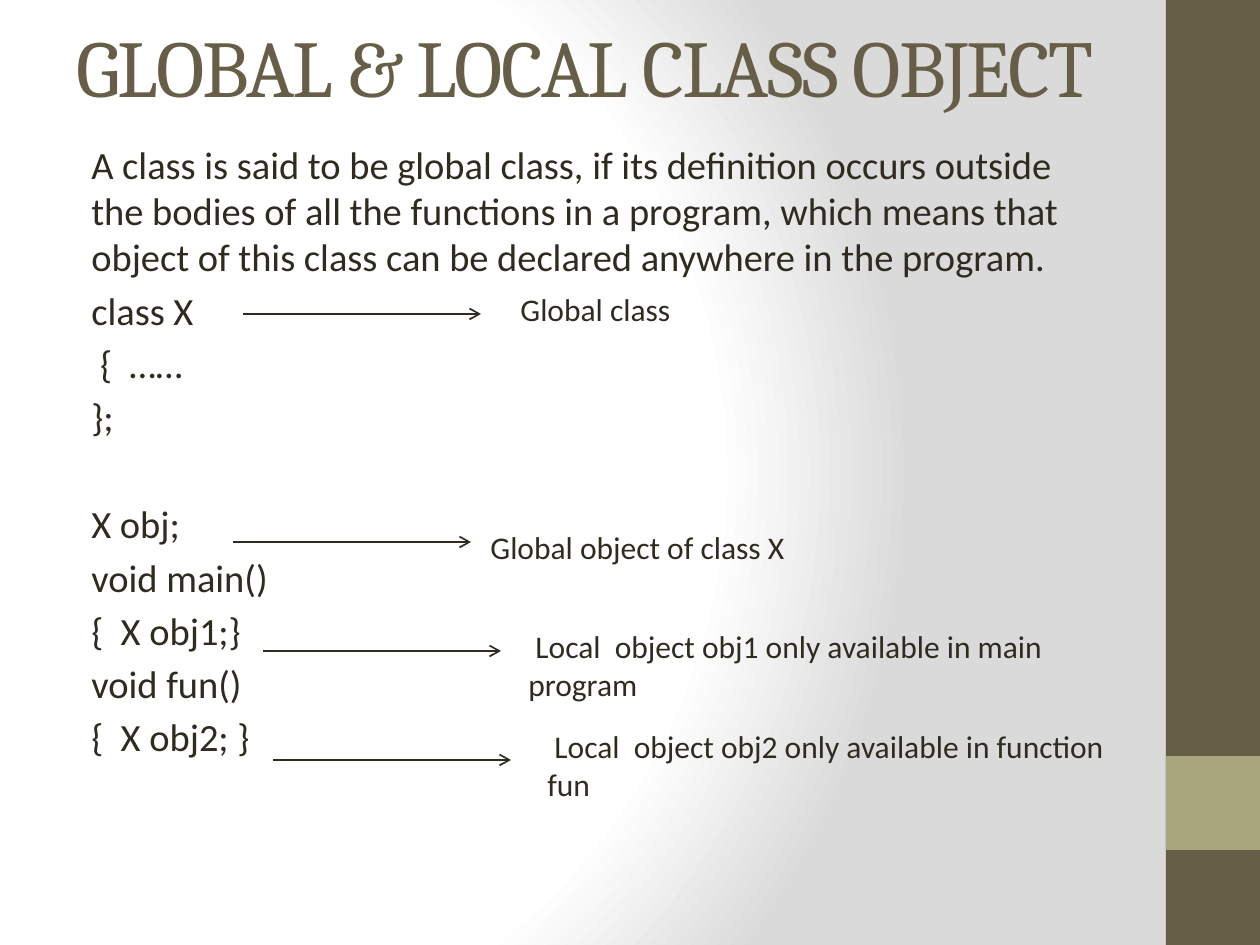
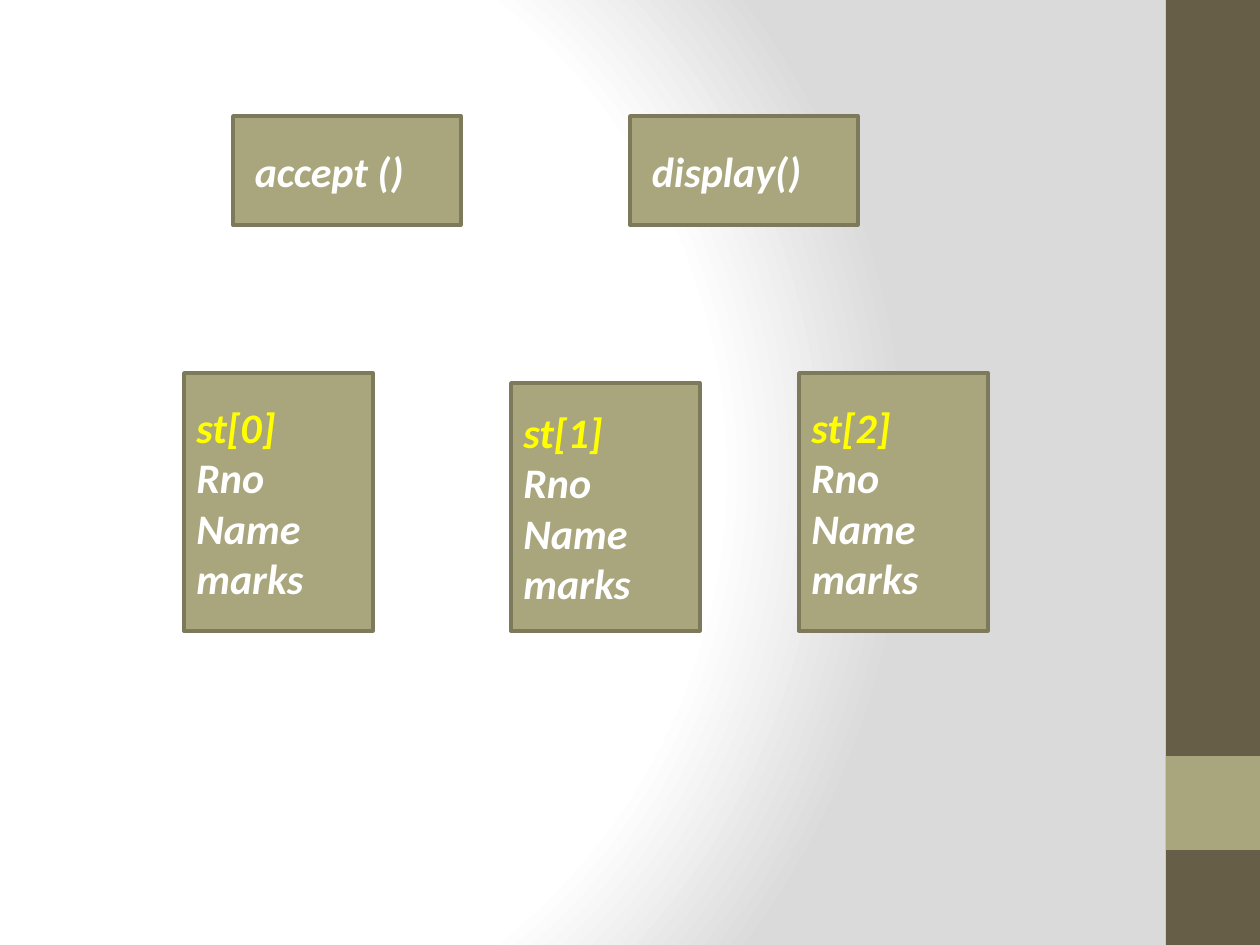
from pptx import Presentation
from pptx import util as u
from pptx.dml.color import RGBColor
from pptx.enum import shapes, text
from pptx.oxml import parse_xml
from pptx.oxml.ns import nsdecls, qn
from lxml import etree

BROWN, OLIVE, OLIVE_EDGE = "675E47", "A9A57C", "7D7A5C"
INK, WHITE, YELLOW, GREY = "2F2B20", "FFFFFF", "FFFF00", "DADADA"

TITLE = "GLOBAL & LOCAL CLASS OBJECT"
# (text, points before)
BODY = [
    ("A class is said to be global class, if its definition occurs outside the "
     "bodies of all the functions in a program, which means that object of this "
     "class can be declared anywhere in the program.", 0),
    ("class X", 4),
    (" {  ……", 4),
    ("};", 4),
    ("X obj;", 35),
    ("void main()", 4),
    ("{  X obj1;}", 4),
    ("void fun()", 4),
    ("{  X obj2; }", 4),
]
ARROWS = [(243, 314), (233, 542), (263, 651), (273, 760)]  # left, y
ARROW_LENGTH = 238
# text, (left, top, width, height), indent
LABELS = [
    (" Global class", (501, 284, 228, 89), 0),
    (" Global object of class X", (471, 522, 645, 89), 0),
    (" Local  object obj1 only available in main program", (501, 621, 645, 127), 15),
    (" Local  object obj2 only available in function fun", (520, 721, 645, 127), 15),
]

FUNCTIONS = [(" accept ()", 233), (" display()", 630)]  # name, left
FUNCTION_TOP, FUNCTION_SIZE = 116, (228, 109)
STUDENTS = [(184, 373), (511, 383), (799, 373)]  # left, top
STUDENT_WIDTH, STUDENT_BOTTOM = 189, 631
FIELDS = ["Rno", "Name", "marks"]

BACKGROUND = f"""<p:bg {nsdecls('p', 'a')}><p:bgPr><a:gradFill rotWithShape="1"><a:gsLst>
<a:gs pos="0"><a:srgbClr val="{WHITE}"/></a:gs>
<a:gs pos="75000"><a:srgbClr val="{WHITE}"/></a:gs>
<a:gs pos="100000"><a:srgbClr val="{GREY}"/></a:gs></a:gsLst>
<a:path path="circle"><a:fillToRect l="20000" t="50000" r="100000" b="50000"/></a:path>
</a:gradFill><a:effectLst/></p:bgPr></p:bg>"""


def px(n):
    return u.Emu(round(n * 914400 / 126))


def rgb(color):
    return RGBColor.from_string(color)


def write(sp, lines, font="Calibri", size=18, color=INK, bold=False, italic=False,
          anchor=text.MSO_ANCHOR.TOP, indent=0, spacing=0):
    """Fill sp with lines, each given as (text, format that overrides the rest)."""
    tf = sp.text_frame
    tf.word_wrap = True
    tf.vertical_anchor = anchor
    for i, (line, own) in enumerate(lines):
        p = tf.add_paragraph() if i else tf.paragraphs[0]
        p.alignment = text.PP_ALIGN.LEFT
        p.space_before = u.Pt(own.get("before", 0))
        if indent:
            p._p.get_or_add_pPr().set("marL", str(px(indent)))
        r = p.add_run()
        r.text = line
        r.font.name, r.font.size = font, u.Pt(size)
        r.font.bold, r.font.italic = bold, italic
        r.font.color.rgb = rgb(own.get("color", color))
        if spacing:
            r._r.get_or_add_rPr().set("spc", str(spacing * 100))


def add_text(slide, box, lines, **fmt):
    write(slide.shapes.add_textbox(*map(px, box)), lines, **fmt)


def add_rect(slide, box, fill, edge=None):
    sp = slide.shapes.add_shape(shapes.MSO_SHAPE.RECTANGLE, *map(px, box))
    sp.shadow.inherit = False
    sp.fill.solid()
    sp.fill.fore_color.rgb = rgb(fill)
    if edge:
        sp.line.color.rgb = rgb(edge)
        sp.line.width = u.Pt(2)
    else:
        sp.line.fill.background()
    return sp


def add_box(slide, box, lines):
    write(add_rect(slide, box, OLIVE, OLIVE_EDGE), lines, size=24, color=WHITE,
          bold=True, italic=True, anchor=text.MSO_ANCHOR.MIDDLE)


def add_arrow(slide, left, y):
    line = slide.shapes.add_connector(shapes.MSO_CONNECTOR.STRAIGHT, px(left), px(y),
                                      px(left + ARROW_LENGTH), px(y))
    line.line.color.rgb = rgb(INK)
    line.line.width = u.Pt(1)
    etree.SubElement(line.line._get_or_add_ln(), qn("a:tailEnd"), type="arrow")
    etree.SubElement(line._element.spPr, qn("a:effectLst"))


def new_slide(prs):
    """Add a slide with the shared background and side bands."""
    slide = prs.slides.add_slide(prs.slide_layouts[6])
    slide._element.cSld.insert(0, parse_xml(BACKGROUND))
    add_rect(slide, (1166, 0, 94, 945), BROWN)
    add_rect(slide, (1166, 756, 94, 94), OLIVE)
    return slide


def class_slide(prs):
    slide = new_slide(prs)
    add_text(slide, (64, -14, 1160, 158), [(TITLE, {})], font="Cambria", size=46,
             color=BROWN, anchor=text.MSO_ANCHOR.MIDDLE, spacing=-1)
    add_text(slide, (64, 135, 1050, 784),
             [(line, {"before": before}) for line, before in BODY], size=22, indent=15)
    for left, y in ARROWS:
        add_arrow(slide, left, y)
    for label, box, indent in LABELS:
        add_text(slide, box, [(label, {})], indent=indent)


def students_slide(prs):
    slide = new_slide(prs)
    for name, left in FUNCTIONS:
        add_box(slide, (left, FUNCTION_TOP, *FUNCTION_SIZE), [(name, {})])
    for i, (left, top) in enumerate(STUDENTS):
        lines = [(f"st[{i}]", {"color": YELLOW})] + [(field, {}) for field in FIELDS]
        add_box(slide, (left, top, STUDENT_WIDTH, STUDENT_BOTTOM - top), lines)


def main():
    prs = Presentation()
    prs.slide_width, prs.slide_height = px(1260), px(945)
    class_slide(prs)
    students_slide(prs)
    prs.save("out.pptx")


if __name__ == "__main__":
    main()
